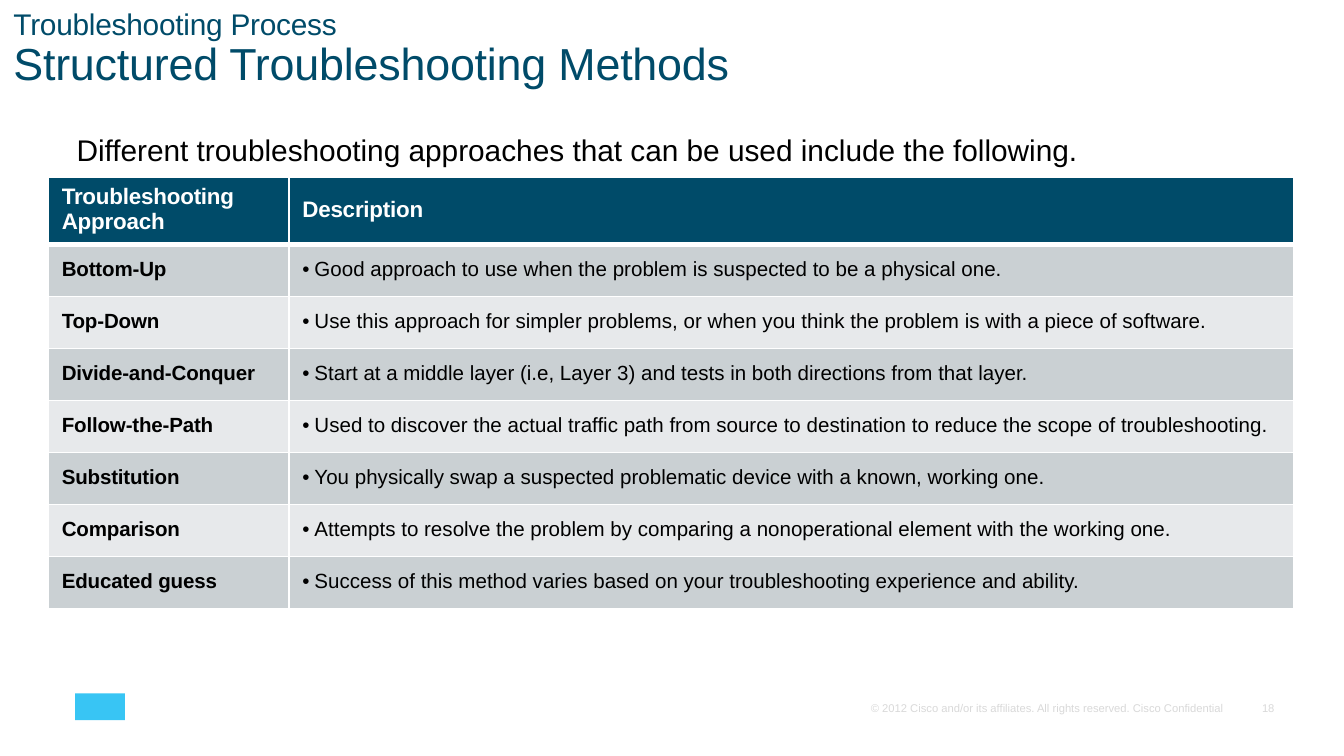
from lxml import etree
from pptx import Presentation
from pptx.dml.color import RGBColor
from pptx.enum import shapes, text
from pptx.oxml import ns
from pptx.util import Inches, Pt

NAVY = RGBColor(0x00, 0x4B, 0x69)
WHITE = RGBColor(0xFF, 0xFF, 0xFF)
BLACK = RGBColor(0x00, 0x00, 0x00)
PALE = RGBColor(0xD9, 0xD9, 0xD9)
SKY = RGBColor(0x38, 0xC5, 0xF4)
BANDS = [RGBColor(0xCA, 0xD0, 0xD3), RGBColor(0xE7, 0xE9, 0xEB)]
TIGHT = -10  # letter spacing in hundredths of a point

# text, font size, line spacing
TITLE = [("Troubleshooting Process", 16, 16.2),
         ("Structured Troubleshooting Methods", 24, 25.8)]
# text, (left, top, width, height), font size, colour
LABELS = [
    ("Different troubleshooting approaches that can be used include the following.",
     (0.57, 0.97, 7.6, 0.29), 16, BLACK),
    ("© 2012 Cisco and/or its affiliates. All rights reserved. Cisco Confidential",
     (6.48, 5.21, 2.73, 0.12), 6, PALE),
    ("18", (9.39, 5.21, 0.15, 0.12), 6, PALE),
]
HEADER = ["Troubleshooting Approach", "Description"]
METHODS = [
    ("Bottom-Up", "Good approach to use when the problem is suspected to be a physical one."),
    ("Top-Down", "Use this approach for simpler problems, or when you think the problem "
                 "is with a piece of software."),
    ("Divide-and-Conquer", "Start at a middle layer (i.e, Layer 3) and tests in both "
                           "directions from that layer."),
    ("Follow-the-Path", "Used to discover the actual traffic path from source to destination "
                        "to reduce the scope of troubleshooting."),
    ("Substitution", "You physically swap a suspected problematic device with a known, "
                     "working one."),
    ("Comparison", "Attempts to resolve the problem by comparing a nonoperational element "
                   "with the working one."),
    ("Educated guess", "Success of this method varies based on your troubleshooting "
                       "experience and ability."),
]
TABLE_BOX = (0.36, 1.32, 9.27, 3.21)
COL_WIDTHS = [1.79, 7.48]
HEADER_HEIGHT = 0.5


def box(values):
    return [Inches(v) for v in values]


def set_text(p, words, size, color, bold=False, tracking=0):
    p.alignment = text.PP_ALIGN.LEFT
    r = p.add_run()
    r.text = words
    fmt = {"name": "Arial", "size": Pt(size), "bold": bold}
    for name, value in fmt.items():
        setattr(r.font, name, value)
    r.font.color.rgb = color
    if tracking:
        r._r.get_or_add_rPr().set("spc", str(tracking))


def set_frame(tf):
    fmt = {"margin_left": 0, "margin_right": 0, "margin_bottom": 0,
           "margin_top": Inches(0.01), "word_wrap": True,
           "vertical_anchor": text.MSO_ANCHOR.TOP,
           "auto_size": text.MSO_AUTO_SIZE.NONE}
    for name, value in fmt.items():
        setattr(tf, name, value)


def add_bullet(p):
    pPr = p._p.get_or_add_pPr()
    pPr.set("marL", str(Inches(0.09)))
    pPr.set("indent", str(-Inches(0.09)))
    etree.SubElement(pPr, ns.qn("a:buFont"), typeface="Arial")
    etree.SubElement(pPr, ns.qn("a:buChar"), char="•")


def add_borders(cell, top, bottom):
    tcPr = cell._tc.get_or_add_tcPr()
    for side, width in (("L", 1), ("R", 1), ("T", top), ("B", bottom)):
        ln = etree.SubElement(tcPr, ns.qn(f"a:ln{side}"), w=str(Pt(width)))
        fill = etree.SubElement(ln, ns.qn("a:solidFill"))
        etree.SubElement(fill, ns.qn("a:srgbClr"), val=str(WHITE))


def fill_cell(cell, words, row, col):
    header = row == 0
    add_borders(cell, 3 if row == 1 else 1, 3 if header else 1)
    cell.fill.solid()
    cell.fill.fore_color.rgb = NAVY if header else BANDS[(row - 1) % 2]
    top = (0.05, 0.15)[col] if header else 0.1
    cell.margin_left, cell.margin_top = Inches(0.1), Inches(top)
    cell.margin_right = cell.margin_bottom = 0
    cell.vertical_anchor = text.MSO_ANCHOR.TOP
    p = cell.text_frame.paragraphs[0]
    label = header or col == 0
    if not label:
        add_bullet(p)
    set_text(p, words, 12 if header else 11, WHITE if header else BLACK,
             label, TIGHT if label else 0)


prs = Presentation()
prs.slide_width = Inches(10)
prs.slide_height = prs.slide_width * 9 // 16
s = prs.slides.add_slide(prs.slide_layouts[5])

title = s.shapes.title
title.left, title.top, title.width, title.height = box((0.1, 0.07, 8.65, 0.61))
tf = title.text_frame
set_frame(tf)
for i, (words, size, spacing) in enumerate(TITLE):
    p = tf.add_paragraph() if i else tf.paragraphs[0]
    p.line_spacing = Pt(spacing)
    p.space_before = Pt(0)
    set_text(p, words, size, NAVY, tracking=TIGHT)

for words, place, size, color in LABELS:
    tf = s.shapes.add_textbox(*box(place)).text_frame
    set_frame(tf)
    set_text(tf.paragraphs[0], words, size, color)

logo_block = s.shapes.add_shape(shapes.MSO_SHAPE.RECTANGLE, *box((0.56, 5.16, 0.37, 0.2)))
logo_block.shadow.inherit = False
logo_block.fill.solid()
logo_block.fill.fore_color.rgb = SKY
logo_block.line.fill.background()

rows = [HEADER, *METHODS]
table = s.shapes.add_table(len(rows), len(HEADER), *box(TABLE_BOX)).table
for column, width in zip(table.columns, COL_WIDTHS):
    column.width = Inches(width)
row_height = (TABLE_BOX[3] - HEADER_HEIGHT) / len(METHODS)
for r, words_in_row in enumerate(rows):
    table.rows[r].height = Inches(row_height if r else HEADER_HEIGHT)
    for c, words in enumerate(words_in_row):
        fill_cell(table.cell(r, c), words, r, c)

prs.save("out.pptx")
